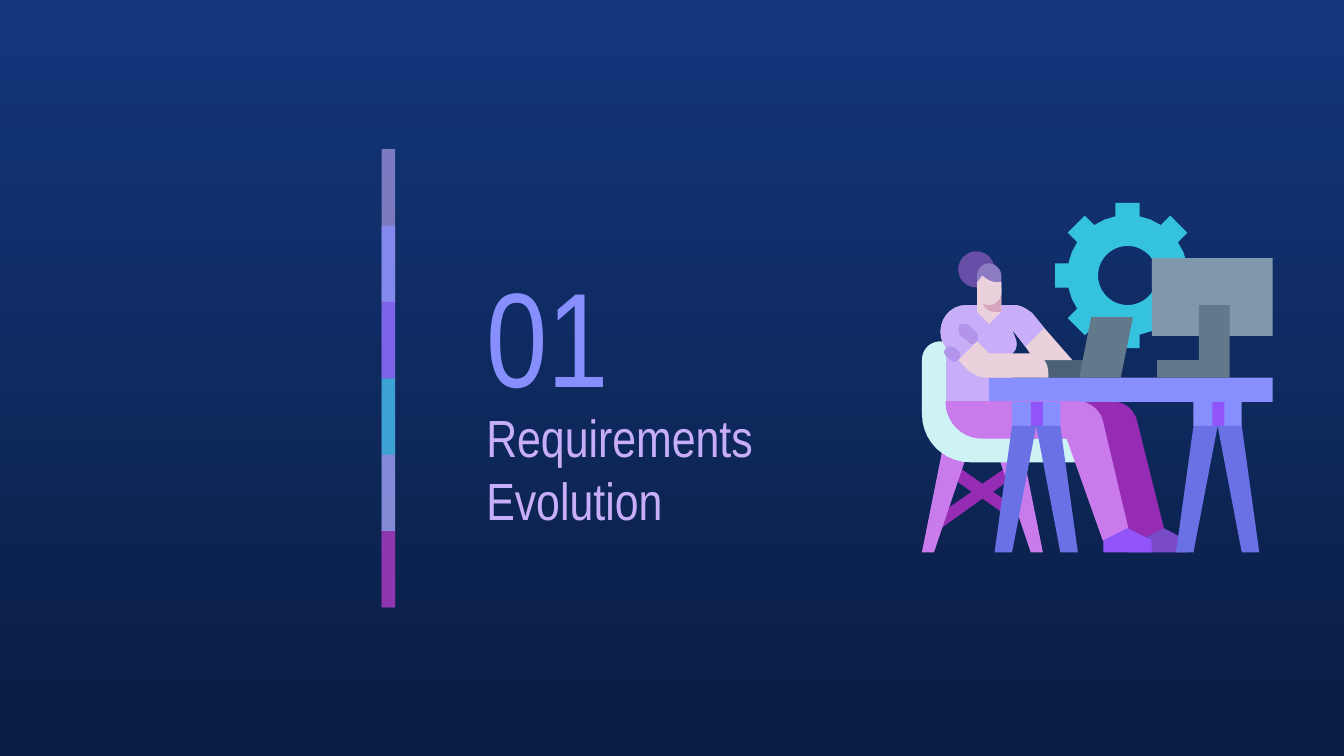
from math import cos, pi, sin

from pptx import Presentation
from pptx import util as u
from pptx.dml.color import RGBColor
from pptx.enum import shapes, text
from pptx.oxml import parse_xml
from pptx.oxml.ns import nsdecls

COLOURS = {
    "sky": "13367C", "night": "0A1D42",
    "lilac": "C8AEF8", "periwinkle": "878FFF", "violet": "9154F8",
    "cyan": "35C2DF", "orchid": "CA7BEB", "purple": "972CB4",
    "ice": "CEF3F5", "slate": "62798C", "dark slate": "4B6275",
    "screen": "8098AB", "indigo": "6971E5", "back shoe": "794BC8",
    "skin": "EAD1DC", "neck shade": "D5A6BD", "sleeve": "B394EB",
    "bun": "674EA7", "hair": "8E7CC3",
}
FONT = "Arial Narrow"
RECTANGLE = shapes.MSO_SHAPE.RECTANGLE
OVAL = shapes.MSO_SHAPE.OVAL


def rgb(name):
    return RGBColor.from_string(COLOURS[name])


def paint(shape, colour, line_width=None):
    shape.shadow.inherit = False
    shape.fill.solid()
    shape.fill.fore_color.rgb = rgb(colour)
    if line_width:
        shape.line.color.rgb = rgb(colour)
        shape.line.width = u.Pt(line_width)
    else:
        shape.line.fill.background()


def add_preset(group, box, colour, left, top, width, height, kind=RECTANGLE):
    shape = group.shapes.add_shape(kind, u.Inches(box[0] + left), u.Inches(box[1] + top),
                                   u.Inches(width), u.Inches(height))
    paint(shape, colour)
    return shape


def flatten(points, steps=10):
    """Turn cubic curves (six numbers) into short straight segments."""
    result = []
    for point in points:
        if len(point) == 2:
            result.append(point)
            continue
        (x0, y0), (x1, y1, x2, y2, x3, y3) = result[-1], point
        for step in range(1, steps + 1):
            t = step / steps
            a, b, c, d = (1 - t) ** 3, 3 * t * (1 - t) ** 2, 3 * t * t * (1 - t), t ** 3
            result.append((a * x0 + b * x1 + c * x2 + d * x3,
                           a * y0 + b * y1 + c * y2 + d * y3))
    return result


def add_outline(group, box, colour, *contours, line_width=None):
    builder = None
    for contour in contours:
        points = [(u.Inches(box[0] + x), u.Inches(box[1] + y)) for x, y in flatten(contour)]
        if builder is None:
            builder = group.shapes.build_freeform(*points[0])
        else:
            builder.move_to(*points[0])
        builder.add_line_segments(points[1:], close=True)
    paint(builder.convert_to_shape(), colour, line_width)


def draw_bar(slide, box):
    """Translucent segments, each reaching under the next one."""
    group = slide.shapes.add_group_shape()
    width, height = box[2:]
    segments = [("lilac", 59), ("periwinkle", 74), ("violet", 53),
                ("cyan", 76), ("orchid", 56), ("purple", 74)]
    step = height / len(segments)
    for index, (colour, opacity) in enumerate(segments):
        span = 1 if index == len(segments) - 1 else 2
        shape = add_preset(group, box, colour, 0, index * step, width, span * step)
        fill_colour = shape.fill._xPr.find(".//{*}srgbClr")
        fill_colour.append(parse_xml(f'<a:alpha {nsdecls("a")} val="{opacity * 1000}"/>'))


def add_heading(slide, box, wording, size, colour):
    frame = slide.shapes.add_textbox(*map(u.Inches, box)).text_frame
    frame.word_wrap = True
    frame.vertical_anchor = text.MSO_ANCHOR.MIDDLE
    frame.margin_left = frame.margin_right = u.Inches(0.1)
    frame.margin_top = frame.margin_bottom = u.Inches(0.1)
    frame.text = wording
    font = frame.paragraphs[0].runs[0].font
    font.name, font.size, font.color.rgb = FONT, u.Pt(size), rgb(colour)


def draw_gear(group, box, x, y):
    def turned(dx, dy, angle):
        return x + dx * cos(angle) - dy * sin(angle), y + dx * sin(angle) + dy * cos(angle)

    tooth = [(-0.09, -0.44), (-0.09, -0.54), (0.09, -0.54), (0.09, -0.44)]
    rim = []
    for index in range(8):
        angle = index * pi / 4
        rim += [turned(dx, dy, angle) for dx, dy in tooth]
        rim.append(turned(0, -0.45, angle + pi / 8))
    hole = [turned(0, -0.22, -index * pi / 24) for index in range(48)]
    add_outline(group, box, "cyan", hole, rim)


def draw_trestle(group, box):
    add_preset(group, box, "periwinkle", 0, 0, 0.36, 0.18)
    add_preset(group, box, "violet", 0.14, 0, 0.09, 0.18)
    add_outline(group, box, "indigo", [(0, 0.18), (-0.13, 1.12), (0, 1.12), (0.18, 0.18)])
    add_outline(group, box, "indigo", [(0.18, 0.18), (0.36, 1.12), (0.49, 1.12), (0.36, 0.18)])


def draw_workplace(slide, box):
    group = slide.shapes.add_group_shape()

    def outline(colour, *points, line_width=None):
        add_outline(group, box, colour, points, line_width=line_width)

    def preset(colour, *place, kind=RECTANGLE):
        add_preset(group, box, colour, *place, kind=kind)

    draw_gear(group, box, 2.39, 1.05)
    preset("dark slate", 1.76, 1.68, 0.31, 0.13)

    # Chair: cross brace, legs and seat
    outline("purple", (1.11, 2.46), (1.06, 2.54), (1.23, 2.66), (0.94, 2.86), (0.99, 2.94),
            (1.31, 2.71), (1.48, 2.83), (1.53, 2.76), (1.39, 2.66), (1.55, 2.54),
            (1.5, 2.47), (1.31, 2.6))
    outline("orchid", (1.4, 2.31), (1.67, 3.11), (1.76, 3.11), (1.6, 2.31))
    outline("orchid", (1.02, 2.31), (0.86, 3.11), (0.95, 3.11), (1.22, 2.31))
    outline("ice", (1, 1.54), (0.92, 1.54, 0.86, 1.6, 0.86, 1.68), (0.86, 2.08),
            (0.86, 2.28, 1.02, 2.44, 1.22, 2.44), (2.07, 2.44), (2.07, 2.22), (1.31, 2.22),
            (1.19, 2.22, 1.09, 2.12, 1.09, 1.99), (1.09, 1.54))

    # Far leg and shoe
    outline("purple", (1.31, 1.99), (1.31, 2.14, 1.43, 2.26, 1.58, 2.26), (2.21, 2.26),
            (2.39, 3.02), (2.48, 3.02), (2.66, 2.93), (2.46, 2.13),
            (2.44, 2.05, 2.37, 1.99, 2.29, 1.99))
    outline("back shoe", (2.66, 2.93), (2.48, 3.02), (2.39, 3.02), (2.39, 3.11),
            (2.83, 3.11), (2.83, 3.02))

    # Far arm, then the blouse over it
    body = [(1.19, 1.27), (1.03, 1.27, 0.94, 1.46, 1.04, 1.59), (1.04, 1.99), (1.53, 1.99),
            (1.53, 1.63), (1.56, 1.61, 1.57, 1.57, 1.56, 1.53), (1.53, 1.45), (1.63, 1.58)]
    shoulder = [(1.77, 1.44), (1.68, 1.33), (1.64, 1.3, 1.6, 1.27, 1.54, 1.27)]
    outline("skin", *body, (1.7, 1.68), (1.98, 1.68), *shoulder)
    outline("lilac", *body, *shoulder)

    # Table top
    preset("periwinkle", 1.36, 1.81, 2.11, 0.18)

    # Sleeve folds, neck and near arm
    outline("sleeve", (1.07, 1.58), (1.06, 1.58, 1.05, 1.58, 1.04, 1.59),
            (1.02, 1.61, 1.02, 1.63, 1.04, 1.65), (1.07, 1.68),
            (1.08, 1.69, 1.09, 1.69, 1.1, 1.69), (1.11, 1.69, 1.12, 1.69, 1.13, 1.68),
            (1.15, 1.66, 1.15, 1.63, 1.13, 1.61), (1.11, 1.59),
            (1.1, 1.58, 1.08, 1.58, 1.07, 1.58))
    outline("sleeve", (1.18, 1.41), (1.17, 1.41, 1.15, 1.41, 1.14, 1.42),
            (1.13, 1.44, 1.13, 1.47, 1.14, 1.49), (1.2, 1.54),
            (1.21, 1.55, 1.22, 1.56, 1.23, 1.56), (1.25, 1.56, 1.26, 1.55, 1.27, 1.54),
            (1.28, 1.53, 1.28, 1.5, 1.27, 1.48), (1.21, 1.42),
            (1.2, 1.41, 1.19, 1.41, 1.18, 1.41))
    outline("skin", (1.27, 1.14), (1.27, 1.32), (1.36, 1.41), (1.45, 1.32), (1.45, 1.14))
    outline("skin", (1.27, 1.54), (1.13, 1.68), (1.21, 1.76),
            (1.25, 1.79, 1.29, 1.81, 1.34, 1.81), (1.8, 1.81), (1.8, 1.77),
            (1.8, 1.69, 1.74, 1.63, 1.67, 1.63), (1.36, 1.63))

    # Laptop screen
    outline("slate", (2.12, 1.36), (2.03, 1.81), (2.34, 1.81), (2.43, 1.36))

    # Near leg and shoe
    outline("orchid", (1.04, 1.99), (1.04, 2.14, 1.16, 2.26, 1.31, 2.26), (1.94, 2.26),
            (2.21, 3.02), (2.39, 2.93), (2.2, 2.13), (2.18, 2.05, 2.1, 1.99, 2.02, 1.99),
            line_width=0.75)
    outline("violet", (2.39, 2.93), (2.21, 3.02), (2.21, 3.11), (2.57, 3.11), (2.57, 3.02))

    # Monitor and stand
    preset("screen", 2.57, 0.92, 0.9, 0.58)
    outline("slate", (2.92, 1.27), (2.92, 1.68), (2.61, 1.68), (2.61, 1.81),
            (3.15, 1.81), (3.15, 1.27))

    for left in (2.88, 1.53):
        draw_trestle(group, (box[0] + left, box[1] + 1.99))

    # Head: neck shade, bun, hair and face
    outline("neck shade", (1.31, 1.14), (1.31, 1.23), (1.31, 1.28, 1.35, 1.32, 1.4, 1.32),
            (1.45, 1.32), (1.45, 1.14))
    preset("bun", 1.13, 0.87, 0.27, 0.27, kind=OVAL)
    outline("hair", (1.36, 0.96), (1.31, 0.96, 1.27, 1, 1.27, 1.05), (1.27, 1.14),
            (1.45, 1.14), (1.45, 1.05), (1.45, 1, 1.4, 0.96, 1.36, 0.96))
    outline("skin", (1.31, 1.05), (1.27, 1.1), (1.27, 1.18),
            (1.27, 1.23, 1.31, 1.27, 1.36, 1.27), (1.4, 1.27, 1.45, 1.23, 1.45, 1.18),
            (1.45, 1.1), (1.42, 1.1), (1.38, 1.1, 1.34, 1.08, 1.31, 1.05))


def main():
    presentation = Presentation()
    presentation.slide_width = u.Inches(10)
    presentation.slide_height = presentation.slide_width * 9 // 16
    slide = presentation.slides.add_slide(presentation.slide_layouts[6])

    # Background fading downwards
    fill = slide.background.fill
    fill.gradient()
    fill.gradient_angle = 270
    for stop, colour, position in zip(fill.gradient_stops, ("sky", "night"), (0, 1)):
        stop.color.rgb = rgb(colour)
        stop.position = position

    draw_bar(slide, (2.84, 1.11, 0.1, 3.41))
    add_heading(slide, (3.52, 1.81, 1.75, 1.35), "01", 72, "periwinkle")
    add_heading(slide, (3.52, 3.15, 2.87, 0.67), "Requirements Evolution", 28, "lilac")
    draw_workplace(slide, (6, 1, 4, 3.5))
    presentation.save("out.pptx")


if __name__ == "__main__":
    main()
